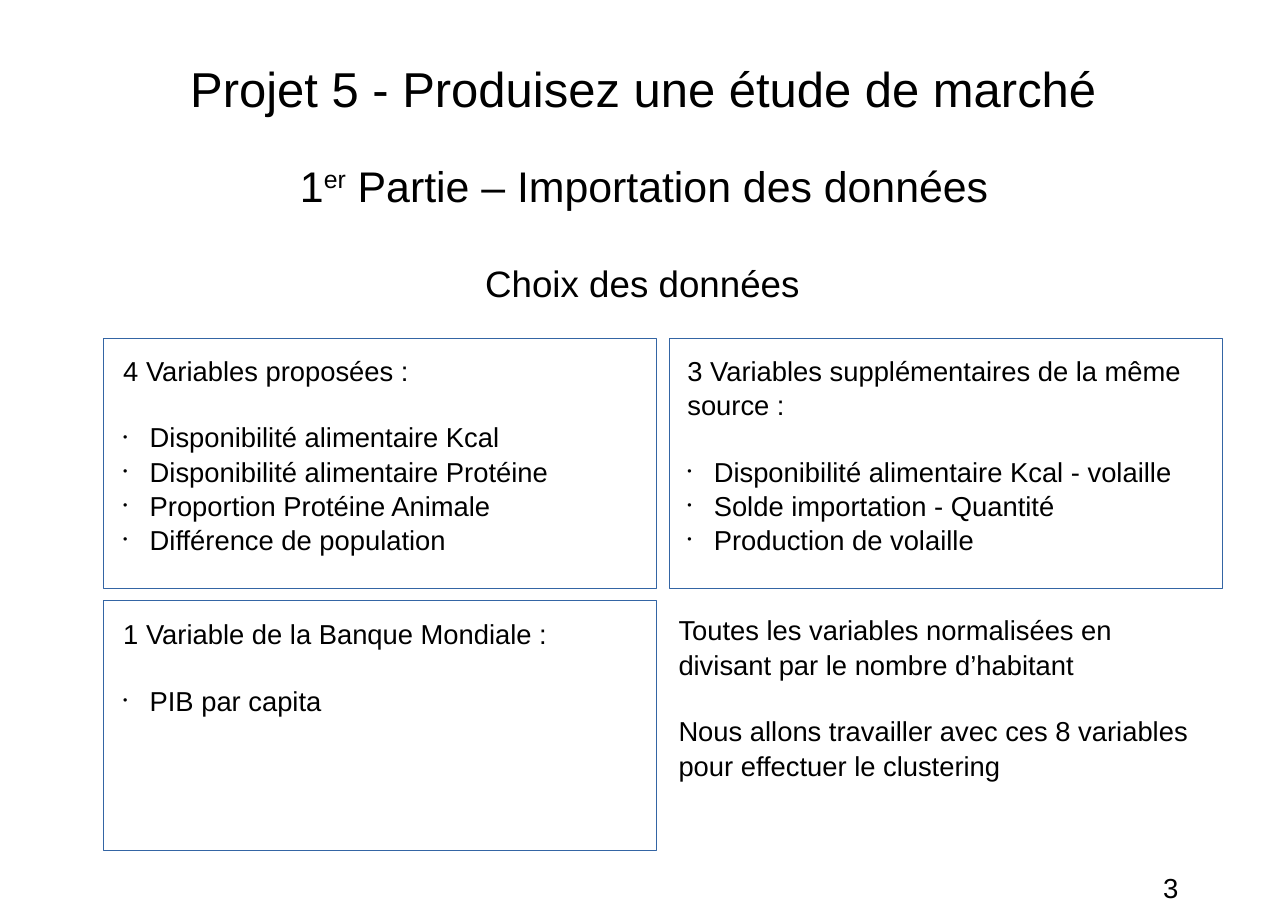
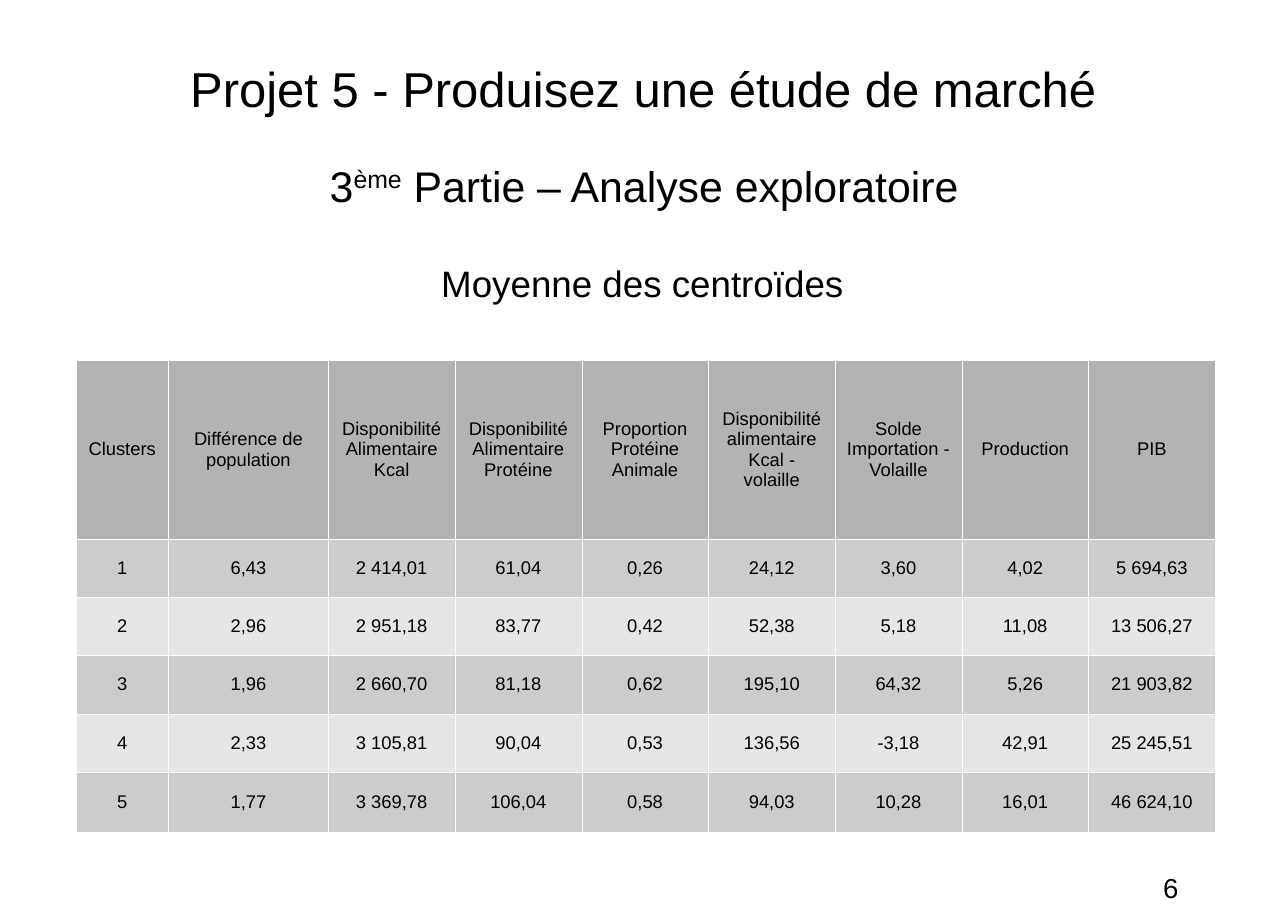
import pptx
import pptx.util
import pptx.dml.color
import pptx.enum.shapes
import pptx.enum.text
import pptx.oxml.ns
import lxml.etree

Inches = pptx.util.Inches
Pt = pptx.util.Pt
ALIGN = pptx.enum.text.PP_ALIGN
ANCHOR = pptx.enum.text.MSO_ANCHOR

FONT = "Arial"
BLACK, WHITE, BLUE = "000000", "FFFFFF", "3465A4"
HEADER_FILL, BAND_FILLS = "B3B3B3", ("CCCCCC", "E6E6E6")

TITLE = "Projet 5 - Produisez une étude de marché"
BODY_SIZE, LINE_SPACING, GAP = 17.9, 1.04, 21.4
INSETS = (0.1, 0.05, 0.1, 0.05)

CHOICES = {
    "number": "3",
    "part": [("1", False), ("er", True), (" Partie – Importation des données", False)],
    "heading": "Choix des données",
}
CENTROIDS = {
    "number": "6",
    "part": [("3", False), ("ème", True), (" Partie – Analyse exploratoire", False)],
    "heading": "Moyenne des centroïdes",
}

FRAME_CELLS = [(0, 0), (0, 1), (1, 0)]
FRAME_LEFT, FRAME_TOP, FRAME_WIDTH, FRAME_HEIGHT = 0.94, 3.07, 5.02, 2.27
COLUMN_STEP, ROW_STEP = 5.14, 2.38

NOTE_WIDTH, NOTE_HEIGHT = 4.88, 2.1
NOTES = [
    (1.02, 3.15, "4 Variables proposées :", True, [
        "Disponibilité alimentaire Kcal",
        "Disponibilité alimentaire Protéine",
        "Proportion Protéine Animale",
        "Différence de population",
    ]),
    (6.14, 3.15, "3 Variables supplémentaires de la même source :", True, [
        "Disponibilité alimentaire Kcal - volaille",
        "Solde importation - Quantité",
        "Production de volaille",
    ]),
    (1.02, 5.54, "1 Variable de la Banque Mondiale :", True, ["PIB par capita"]),
    (6.06, 5.51,
     "Toutes les variables normalisées en divisant par le nombre d’habitant", False,
     ["Nous allons travailler avec ces 8 variables pour effectuer le clustering"]),
]

TABLE_LEFT, TABLE_TOP = 0.69, 3.27
COLUMN_WIDTHS = [0.84, 1.45] + [1.15] * 7
ROW_HEIGHTS = [1.62] + [0.53] * 4 + [0.54]
TABLE_ROWS = [
    ("Clusters", "Différence de population", "Disponibilité Alimentaire Kcal",
     "Disponibilité Alimentaire Protéine", "Proportion Protéine Animale",
     "Disponibilité alimentaire Kcal - volaille", "Solde Importation - Volaille",
     "Production", "PIB"),
    ("1", "6,43", "2 414,01", "61,04", "0,26", "24,12", "3,60", "4,02", "5 694,63"),
    ("2", "2,96", "2 951,18", "83,77", "0,42", "52,38", "5,18", "11,08", "13 506,27"),
    ("3", "1,96", "2 660,70", "81,18", "0,62", "195,10", "64,32", "5,26", "21 903,82"),
    ("4", "2,33", "3 105,81", "90,04", "0,53", "136,56", "-3,18", "42,91", "25 245,51"),
    ("5", "1,77", "3 369,78", "106,04", "0,58", "94,03", "10,28", "16,01", "46 624,10"),
]


def color(value):
    return pptx.dml.color.RGBColor.from_string(value)


def apply(target, values):
    for name, value in values.items():
        setattr(target, name, value)


def add_xml(parent, tag, **attributes):
    element = lxml.etree.SubElement(parent, pptx.oxml.ns.qn(tag))
    for name, value in attributes.items():
        element.set(name, value)
    return element


def add_span(para, text, size, raised=False):
    span = para.add_run()
    span.text = text
    apply(span.font, {"name": FONT, "size": Pt(size)})
    span.font.color.rgb = color(BLACK)
    if raised:
        span.font._element.set("baseline", "33000")


def set_margins(target, insets):
    sides = ("margin_left", "margin_top", "margin_right", "margin_bottom")
    apply(target, {side: Inches(inset) for side, inset in zip(sides, insets)})


def add_box(page, left, top, width, height, insets=INSETS, anchor=ANCHOR.TOP):
    box = page.shapes.add_textbox(Inches(left), Inches(top), Inches(width), Inches(height))
    frame = box.text_frame
    apply(frame, {"word_wrap": True, "vertical_anchor": anchor})
    set_margins(frame, insets)
    return frame


def add_centered(page, bounds, spans, size):
    para = add_box(page, *bounds, insets=(0, 0, 0, 0), anchor=ANCHOR.MIDDLE).paragraphs[0]
    para.alignment = ALIGN.CENTER
    for text, raised in spans:
        add_span(para, text, size, raised)


def add_page(deck, content):
    page = deck.slides.add_slide(deck.slide_layouts[6])
    add_centered(page, (0.94, 0.33, 9.81, 0.94), [(TITLE, False)], 32)
    add_centered(page, (0.94, 1.26, 9.81, 0.85), content["part"], 28)
    add_centered(page, (0.71, 2.14, 10.24, 0.85), [(content["heading"], False)], 24)
    number = add_box(page, 10.46, 7.86, 1.2, 0.4)
    add_span(number.paragraphs[0], content["number"], 18)
    return page


def add_bullet(para):
    settings = para._p.get_or_add_pPr()
    settings.set("marL", str(Inches(0.24)))
    settings.set("indent", str(-Inches(0.24)))
    add_xml(add_xml(settings, "a:buClr"), "a:srgbClr", val=BLACK)
    add_xml(settings, "a:buSzPct", val="45000")
    add_xml(settings, "a:buFont", typeface=FONT)
    add_xml(settings, "a:buChar", char="•")


def add_note(page, left, top, lead, bulleted, lines):
    frame = add_box(page, left, top, NOTE_WIDTH, NOTE_HEIGHT)
    for index, text in enumerate([lead] + lines):
        para = frame.paragraphs[0] if index == 0 else frame.add_paragraph()
        para.line_spacing = LINE_SPACING
        if index == 1:
            para.space_before = Pt(GAP)
        if index and bulleted:
            add_bullet(para)
        add_span(para, text, BODY_SIZE)


def add_frame(page, row, column):
    shape = page.shapes.add_shape(
        pptx.enum.shapes.MSO_SHAPE.RECTANGLE,
        Inches(FRAME_LEFT + column * COLUMN_STEP), Inches(FRAME_TOP + row * ROW_STEP),
        Inches(FRAME_WIDTH), Inches(FRAME_HEIGHT))
    shape.shadow.inherit = False
    shape.fill.background()
    shape.line.color.rgb = color(BLUE)
    shape.line.width = Pt(0)


def format_cell(cell, text, fill):
    cell.vertical_anchor = ANCHOR.MIDDLE
    set_margins(cell, INSETS)
    para = cell.text_frame.paragraphs[0]
    para.alignment = ALIGN.CENTER
    add_span(para, text, 12)
    settings = cell._tc.get_or_add_tcPr()
    for side in ("a:lnL", "a:lnR", "a:lnT", "a:lnB"):
        border = add_xml(settings, side, w=str(Pt(0.06)))
        add_xml(add_xml(border, "a:solidFill"), "a:srgbClr", val=WHITE)
    cell.fill.solid()
    cell.fill.fore_color.rgb = color(fill)


def add_centroid_table(page):
    table = page.shapes.add_table(
        len(ROW_HEIGHTS), len(COLUMN_WIDTHS), Inches(TABLE_LEFT), Inches(TABLE_TOP),
        Inches(sum(COLUMN_WIDTHS)), Inches(sum(ROW_HEIGHTS))).table
    apply(table, {"first_row": False, "horz_banding": False})
    for column, width in zip(table.columns, COLUMN_WIDTHS):
        column.width = Inches(width)
    for index, (row, height) in enumerate(zip(table.rows, ROW_HEIGHTS)):
        row.height = Inches(height)
        fill = BAND_FILLS[(index - 1) % 2] if index else HEADER_FILL
        for cell, text in zip(row.cells, TABLE_ROWS[index]):
            format_cell(cell, text, fill)


def main():
    deck = pptx.Presentation()
    apply(deck, {"slide_width": Inches(11.69), "slide_height": Inches(8.27)})
    choices = add_page(deck, CHOICES)
    for row, column in FRAME_CELLS:
        add_frame(choices, row, column)
    for note in NOTES:
        add_note(choices, *note)
    add_centroid_table(add_page(deck, CENTROIDS))
    deck.save("out.pptx")


if __name__ == "__main__":
    main()
